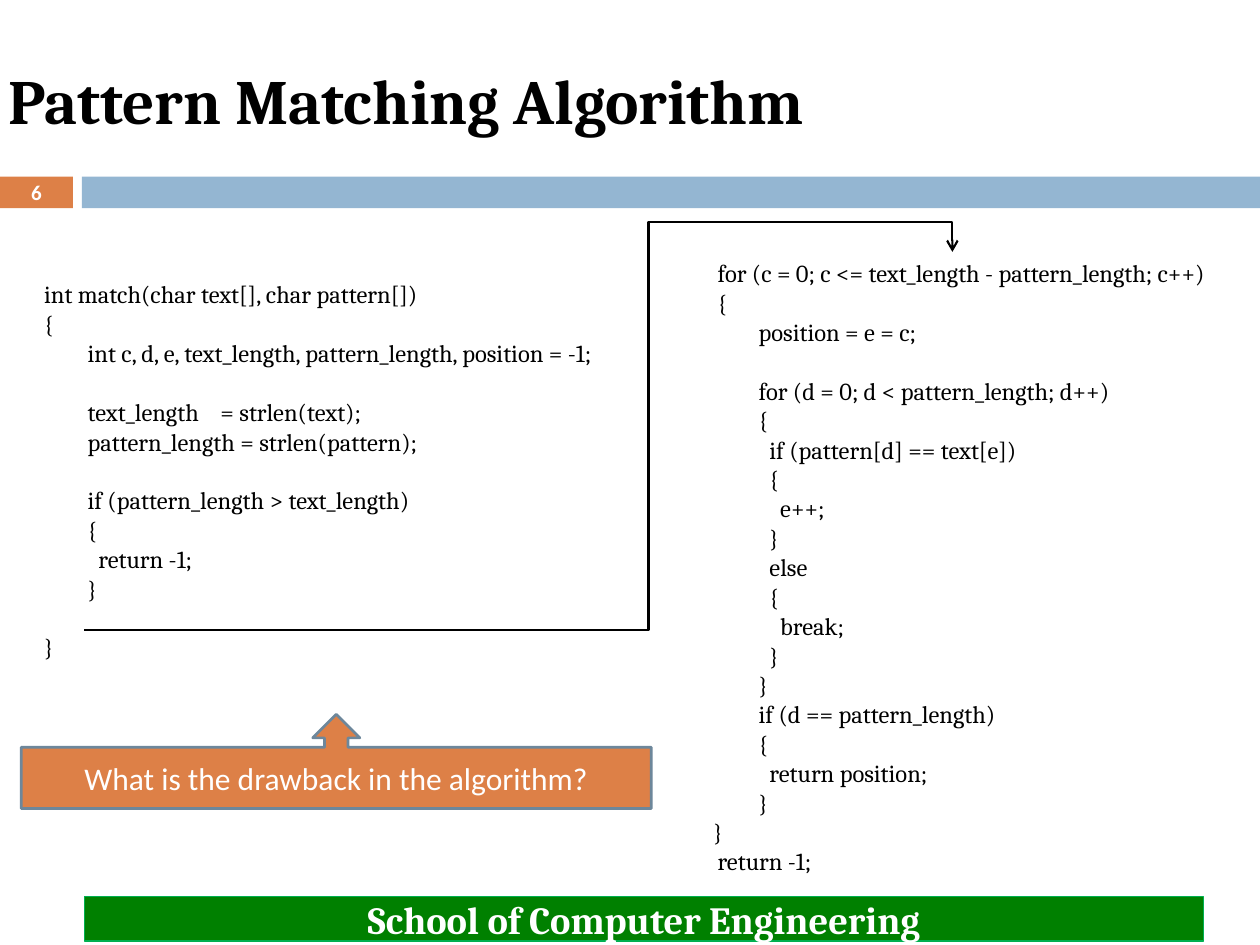
from lxml import etree
from pptx import Presentation
from pptx import util as u
from pptx.dml.color import RGBColor
from pptx.enum import shapes, text
from pptx.oxml.ns import qn

BLACK = RGBColor(0x00, 0x00, 0x00)
WHITE = RGBColor(0xFF, 0xFF, 0xFF)
ORANGE = RGBColor(0xDD, 0x80, 0x47)
BLUE = RGBColor(0x94, 0xB6, 0xD2)
SLATE = RGBColor(0x6D, 0x87, 0x9B)
GREEN = RGBColor(0x00, 0x80, 0x00)
LIGHT_GREEN = RGBColor(0x00, 0xB0, 0x50)

SETUP_CODE = """\
int match(char text[], char pattern[])
{
  int c, d, e, text_length, pattern_length, position = -1;

  text_length    = strlen(text);
  pattern_length = strlen(pattern);

  if (pattern_length > text_length)
  {
    return -1;
  }

}"""

LOOP_CODE = """\
  for (c = 0; c <= text_length - pattern_length; c++)
  {
    position = e = c;

    for (d = 0; d < pattern_length; d++)
    {
      if (pattern[d] == text[e])
      {
        e++;
      }
      else
      {
        break;
      }
    }
    if (d == pattern_length)
    {
      return position;
    }
}
  return -1;"""


class Deck:
    serif, sans = "Cambria", "Calibri"
    code_size = 14

    def __init__(self):
        self.prs = Presentation()
        self.prs.slide_width, self.prs.slide_height = u.Cm(25.4), u.Cm(19.05)
        self.s = self.prs.slides.add_slide(self.prs.slide_layouts[5])

    def style(self, p, size, font, color, bold=False):
        for r in p.runs:
            r.font.size, r.font.name, r.font.bold = u.Pt(size), font, bold
            r.font.color.rgb = color

    def title(self, words, x, y, w, h):
        sp = self.s.shapes.title
        sp.left, sp.top, sp.width, sp.height = map(u.Cm, (x, y, w, h))
        tf = sp.text_frame
        tf.text = words
        tf.auto_size = text.MSO_AUTO_SIZE.NONE
        tf.vertical_anchor = text.MSO_ANCHOR.MIDDLE
        tf.paragraphs[0].alignment = text.PP_ALIGN.LEFT
        self.style(tf.paragraphs[0], 36, self.serif, BLACK, True)

    def box(self, x, y, w, h, fill, line=None, line_width=0.75,
            kind=shapes.MSO_SHAPE.RECTANGLE):
        sp = self.s.shapes.add_shape(kind, *map(u.Cm, (x, y, w, h)))
        sp.shadow.inherit = False
        sp.fill.solid()
        sp.fill.fore_color.rgb = fill
        if line is None:
            sp.line.fill.background()
        else:
            sp.line.color.rgb, sp.line.width = line, u.Pt(line_width)
        return sp

    def label(self, sp, words, size, font, bold=False):
        tf = sp.text_frame
        tf.text = words
        tf.word_wrap = True
        tf.vertical_anchor = text.MSO_ANCHOR.MIDDLE
        tf.paragraphs[0].alignment = text.PP_ALIGN.CENTER
        self.style(tf.paragraphs[0], size, font, WHITE, bold)

    def code(self, source, x, y, w, h, indents):
        """Add a listing; indents maps leading spaces to a first-line indent."""
        tf = self.s.shapes.add_textbox(*map(u.Cm, (x, y, w, h))).text_frame
        tf.word_wrap = False
        tf.auto_size = text.MSO_AUTO_SIZE.SHAPE_TO_FIT_TEXT
        tf.text = source
        deepest = max(indents)
        for p in tf.paragraphs:
            if not p.text:
                end = etree.SubElement(p._p, qn("a:endParaRPr"))
                end.set("sz", str(self.code_size * 100))
                etree.SubElement(end, qn("a:latin")).set("typeface", self.serif)
                continue
            leading = len(p.text) - len(p.text.lstrip())
            indent = u.Cm(indents[min(leading, deepest)])
            p._p.get_or_add_pPr().set("indent", str(indent))
            self.style(p, self.code_size, self.serif, BLACK)

    def bent_arrow(self, x1, y1, x2, y2, bends):
        cx = self.s.shapes.add_connector(
            shapes.MSO_CONNECTOR.ELBOW, *map(u.Cm, (x1, y1, x2, y2)))
        cx.line.color.rgb, cx.line.width = BLACK, u.Pt(1.25)
        sppr = cx._element.spPr
        geom = sppr.find(qn("a:prstGeom"))
        geom.set("prst", "bentConnector4")
        guides = geom.find(qn("a:avLst"))
        if guides is None:
            guides = etree.SubElement(geom, qn("a:avLst"))
        for i, share in enumerate(bends, 1):
            gd = etree.SubElement(guides, qn("a:gd"))
            gd.set("name", f"adj{i}")
            gd.set("fmla", f"val {round(share * 100000)}")
        tail = etree.SubElement(sppr.find(qn("a:ln")), qn("a:tailEnd"))
        tail.set("type", "arrow")
        etree.SubElement(sppr, qn("a:effectLst"))


def main():
    d = Deck()
    number = d.box(0, 3.56, 1.47, 0.64, ORANGE)
    d.label(number, "6", 12, d.sans, True)
    d.box(1.65, 3.56, 23.75, 0.64, BLUE)
    d.title("Pattern Matching Algorithm", -0.08, 0.64, 22.66, 2.74)

    footer = d.box(1.7, 18.08, 22.56, 0.89, GREEN, LIGHT_GREEN)
    d.label(footer, "School of Computer Engineering", 22, d.serif, True)

    d.code(SETUP_CODE, 0.64, 5.51, 12.19, 8.03, {0: 0, 2: 0.66})
    d.code(LOOP_CODE, 13.34, 5.08, 11.71, 12.83, {0: 0.79, 2: 0.66, 4: 1.27})
    d.bent_arrow(1.7, 12.7, 19.2, 5.08, (0.65, 1.08))

    question = d.box(0.43, 14.4, 12.7, 1.9, ORANGE, SLATE, 1.5,
                     shapes.MSO_SHAPE.UP_ARROW_CALLOUT)
    d.label(question, "What is the drawback in the algorithm?", 18, d.sans)
    d.prs.save("out.pptx")


if __name__ == "__main__":
    main()
